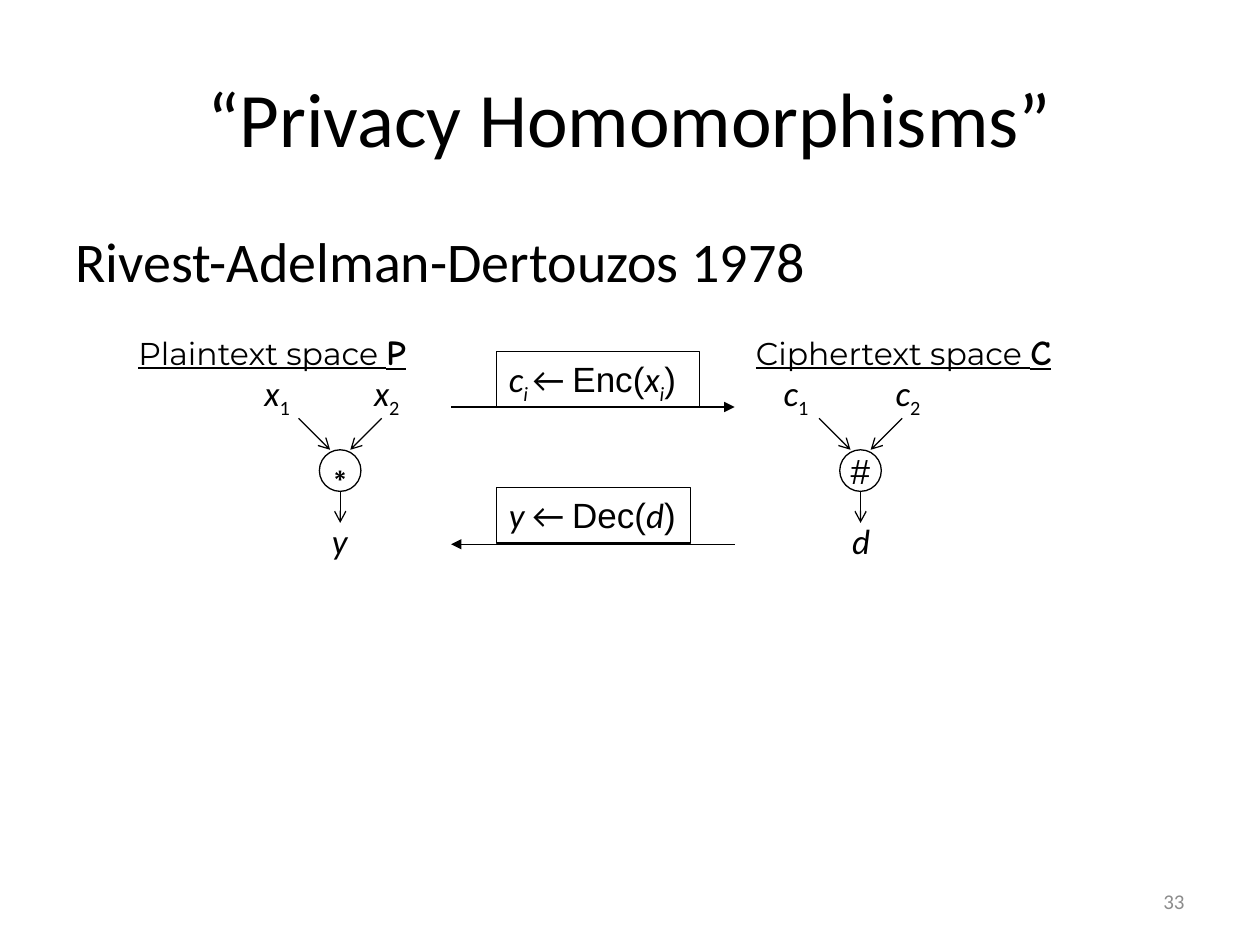
from dataclasses import dataclass

from lxml import etree
from pptx import Presentation
from pptx.dml.color import RGBColor
from pptx.enum import shapes, text
from pptx.oxml import ns
from pptx.util import Inches, Pt

BLACK = RGBColor(0x00, 0x00, 0x00)
GRAY = RGBColor(0x8C, 0x8C, 0x8C)
LEFT, CENTER, RIGHT = text.PP_ALIGN.LEFT, text.PP_ALIGN.CENTER, text.PP_ALIGN.RIGHT
TOP, MIDDLE = text.MSO_ANCHOR.TOP, text.MSO_ANCHOR.MIDDLE
GROW, FIXED = text.MSO_AUTO_SIZE.SHAPE_TO_FIT_TEXT, text.MSO_AUTO_SIZE.NONE

CIRCLE = 0.33
CIRCLE_TOP = 3.57
TEXT_HEIGHT = 0.43


@dataclass(frozen=True)
class Span:
    text: str
    font: str = "Calibri"
    size: float = 20
    italic: bool = False
    bold: bool = False
    underline: bool = False
    subscript: bool = False


@dataclass(frozen=True)
class Space:
    """One side of the homomorphism: a heading over an operation tree."""
    heading: str
    letter: str
    heading_left: float
    heading_width: float
    variable: str
    operand_lefts: tuple[float, float]
    center: float
    operator: str
    result: str


@dataclass(frozen=True)
class Mapping:
    """A labelled arrow between the two spaces."""
    spans: list[Span]
    top: float
    width: float
    line_y: float
    forward: bool


SPACES = [
    Space("Plaintext space ", "P", 1, 2.77, "x", (2, 2.87), 2.7, "∗", "y"),
    Space("Ciphertext space ", "C", 5.9, 2.93, "c", (6.12, 7.01), 6.83, "#", "d"),
]
MAPPINGS = [
    Mapping([Span("c", italic=True), Span("i ", italic=True, subscript=True),
             Span("← "), Span("Enc(", "Arial"), Span("x", italic=True),
             Span("i", italic=True, subscript=True), Span(")", "Arial")],
            2.79, 1.61, 3.23, True),
    Mapping([Span("y ", italic=True), Span("← "), Span("Dec(", "Arial"),
             Span("d", italic=True), Span(")", "Arial")],
            3.87, 1.54, 4.32, False),
]


def write(shape, spans: list[Span], *, color=BLACK, align=LEFT, anchor=TOP,
          wrap=True, fit=GROW) -> None:
    frame = shape.text_frame
    frame.word_wrap, frame.auto_size, frame.vertical_anchor = wrap, fit, anchor
    paragraph = frame.paragraphs[0]
    paragraph.alignment = align
    for span in spans:
        run = paragraph.add_run()
        run.text = span.text
        font = run.font
        font.name, font.size = span.font, Pt(span.size)
        font.italic, font.bold, font.underline = span.italic, span.bold, span.underline
        font.color.rgb = color
        if span.subscript:
            run._r.get_or_add_rPr().set("baseline", "-25000")


def add_label(slide, left: float, top: float, width: float, spans: list[Span],
              height: float = TEXT_HEIGHT, **options) -> None:
    box = slide.shapes.add_textbox(Inches(left), Inches(top), Inches(width), Inches(height))
    write(box, spans, **options)


def add_outline(slide, kind, left: float, top: float, width: float, height: float,
                spans: list[Span], **options) -> None:
    shape = slide.shapes.add_shape(kind, Inches(left), Inches(top),
                                   Inches(width), Inches(height))
    shape.shadow.inherit = False
    shape.fill.background()
    shape.line.color.rgb, shape.line.width = BLACK, Pt(0.75)
    write(shape, spans, wrap=False, **options)


def add_arrow(slide, start: tuple[float, float], end: tuple[float, float],
              head: str = "arrow", end_tag: str = "a:tailEnd") -> None:
    connector = slide.shapes.add_connector(
        shapes.MSO_CONNECTOR.STRAIGHT, *map(Inches, start), *map(Inches, end))
    connector.line.color.rgb, connector.line.width = BLACK, Pt(0.75)
    etree.SubElement(connector.line._get_or_add_ln(), ns.qn(end_tag), type=head)
    etree.SubElement(connector._element.spPr, ns.qn("a:effectLst"))


def add_space(slide, space: Space) -> None:
    add_label(slide, space.heading_left, 2.57, space.heading_width,
              [Span(space.heading, "Montserrat", 18, underline=True),
               Span(space.letter, "Comic Neue", bold=True, underline=True)])

    # Operands
    for index, left in enumerate(space.operand_lefts, start=1):
        add_label(slide, left, 2.9, 0.55,
                  [Span(space.variable, italic=True), Span(str(index), subscript=True)])
    for side in (-1, 1):
        add_arrow(slide, (space.center + side * 0.33, 3.32),
                  (space.center + side * 0.08, CIRCLE_TOP))

    # Operator and result
    left = space.center - CIRCLE / 2
    bottom = CIRCLE_TOP + CIRCLE
    add_outline(slide, shapes.MSO_SHAPE.OVAL, left, CIRCLE_TOP, CIRCLE, CIRCLE,
                [Span(space.operator, "Arial")], align=CENTER, anchor=MIDDLE, fit=FIXED)
    add_arrow(slide, (space.center, bottom), (space.center, bottom + 0.25))
    add_label(slide, left, 4.07, CIRCLE, [Span(space.result, italic=True)])


def add_mapping(slide, mapping: Mapping) -> None:
    add_outline(slide, shapes.MSO_SHAPE.RECTANGLE, 3.94, mapping.top, mapping.width, 0.44,
                mapping.spans)
    add_arrow(slide, (3.58, mapping.line_y), (5.83, mapping.line_y), "triangle",
              "a:tailEnd" if mapping.forward else "a:headEnd")


def place(shape, left: float, top: float, width: float, height: float) -> None:
    shape.left, shape.top = Inches(left), Inches(top)
    shape.width, shape.height = Inches(width), Inches(height)


def main() -> None:
    presentation = Presentation()
    presentation.slide_width, presentation.slide_height = Inches(10), Inches(7.5)
    slide = presentation.slides.add_slide(presentation.slide_layouts[1])

    # Title and body
    title, body = slide.placeholders
    place(title, 0.5, 0.3, 9, 1.25)
    write(title, [Span("“Privacy Homomorphisms”", size=44)],
          align=CENTER, anchor=MIDDLE, fit=FIXED)
    place(body, 0.5, 1.75, 9, 5.33)
    write(body, [Span("Rivest-Adelman-Dertouzos 1978", size=32)], fit=FIXED)
    properties = body.text_frame.paragraphs[0]._p.get_or_add_pPr()
    properties.set("marL", "0")
    properties.set("indent", "0")
    etree.SubElement(properties, ns.qn("a:buNone"))

    # Diagram
    for space in SPACES:
        add_space(slide, space)
    for mapping in MAPPINGS:
        add_mapping(slide, mapping)

    # Slide number
    add_label(slide, 7.17, 6.95, 2.33, [Span("33", size=12)], height=0.4,
              color=GRAY, align=RIGHT, anchor=MIDDLE, fit=FIXED)
    presentation.save("out.pptx")


if __name__ == "__main__":
    main()
